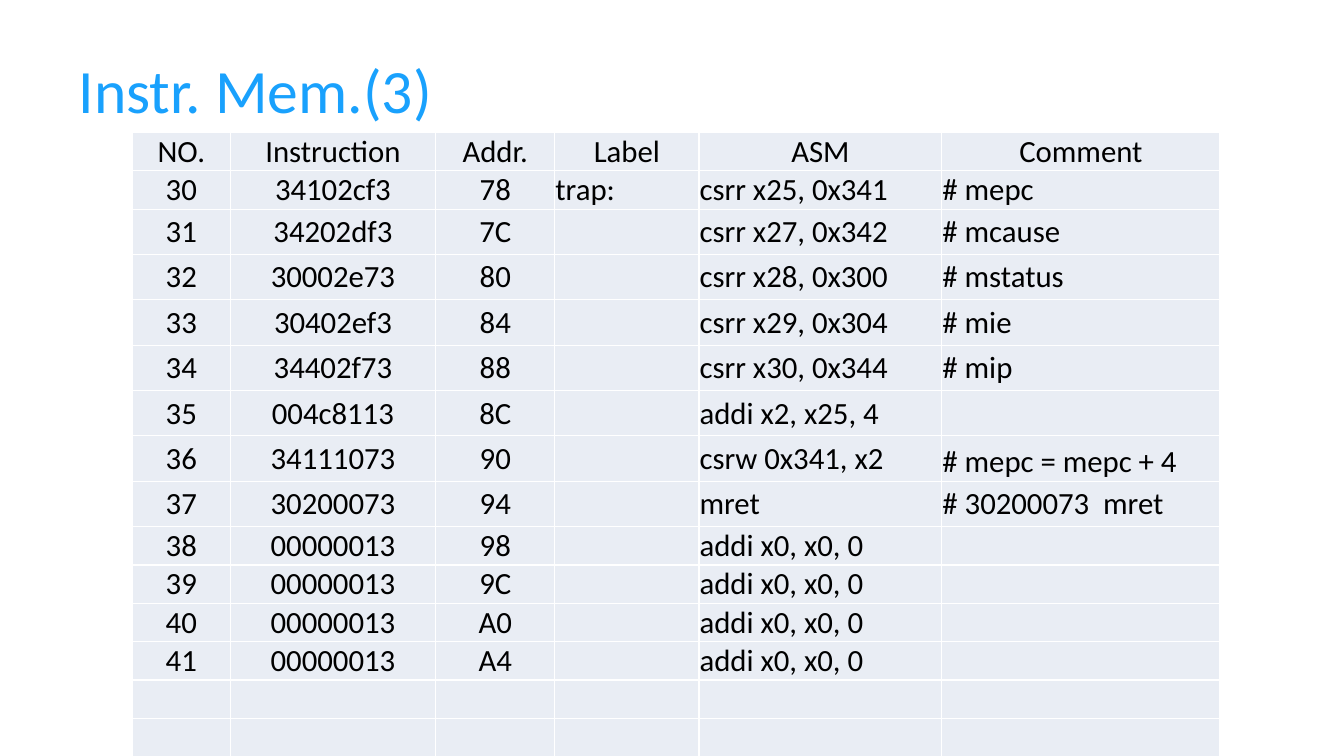
from pptx import Presentation
from pptx.dml.color import RGBColor
from pptx.enum import text
from pptx.util import Pt

BLUE = RGBColor(0x19, 0xA1, 0xFD)
BLACK = RGBColor(0, 0, 0)
PALE = RGBColor(0xE9, 0xED, 0xF4)

HEAD = ("NO.", "Instruction", "Addr.", "Label", "ASM", "Comment")
CODE = [
    ("34102cf3", "trap:", "csrr x25, 0x341", "# mepc"),
    ("34202df3", "", "csrr x27, 0x342", "# mcause"),
    ("30002e73", "", "csrr x28, 0x300", "# mstatus"),
    ("30402ef3", "", "csrr x29, 0x304", "# mie"),
    ("34402f73", "", "csrr x30, 0x344", "# mip"),
    ("004c8113", "", "addi x2, x25, 4", ""),
    ("34111073", "", "csrw 0x341, x2", "# mepc = mepc + 4　"),
    ("30200073", "", "mret", "# 30200073  mret"),
] + [("00000013", "", "addi x0, x0, 0", "")] * 4
FIRST = 30
BLANK = 3
WIDTHS = (69.8, 146.9, 85, 103, 173.5, 198.7)
LOW, HIGH = 27.4, 32.4
TALL = range(2, 9)


def write(frame, words, size=22, color=BLACK, align=text.PP_ALIGN.LEFT):
    para = frame.paragraphs[0]
    para.alignment = align
    if words:
        run = para.add_run()
        run.text = words
        run.font.name = "Calibri"
        run.font.size = Pt(size)
        run.font.color.rgb = color


deck = Presentation()
deck.slide_width, deck.slide_height = Pt(960), Pt(540)
slide = deck.slides.add_slide(deck.slide_layouts[5])

title = slide.shapes.title
title.left, title.top, title.width, title.height = Pt(49), Pt(26), Pt(736), Pt(75)
title.text_frame.vertical_anchor = text.MSO_ANCHOR.MIDDLE
write(title.text_frame, "Instr. Mem.(3)", size=44, color=BLUE)

# Each instruction takes four bytes, so its address follows from its number
rows = [HEAD]
for num, (instr, label, asm, note) in enumerate(CODE, FIRST):
    rows.append((str(num), instr, f"{4 * num:X}", label, asm, note))
rows += [("",) * len(HEAD)] * BLANK

heights = [HIGH if r in TALL else LOW for r in range(len(rows))]
grid = slide.shapes.add_table(len(rows), len(HEAD), Pt(94.6), Pt(94.6),
                              Pt(sum(WIDTHS)), Pt(sum(heights))).table
grid.first_row = False
grid.horz_banding = False
for col, width in zip(grid.columns, WIDTHS):
    col.width = Pt(width)

for r, (row, height) in enumerate(zip(rows, heights)):
    grid.rows[r].height = Pt(height)
    for c, words in enumerate(row):
        cell = grid.cell(r, c)
        cell.fill.solid()
        cell.fill.fore_color.rgb = PALE
        cell.vertical_anchor = text.MSO_ANCHOR.MIDDLE
        cell.margin_left = cell.margin_right = cell.margin_top = Pt(0.5)
        cell.margin_bottom = Pt(0)
        mid = r == 0 or c < 3
        write(cell.text_frame, words,
              align=text.PP_ALIGN.CENTER if mid else text.PP_ALIGN.LEFT)

deck.save("out.pptx")
